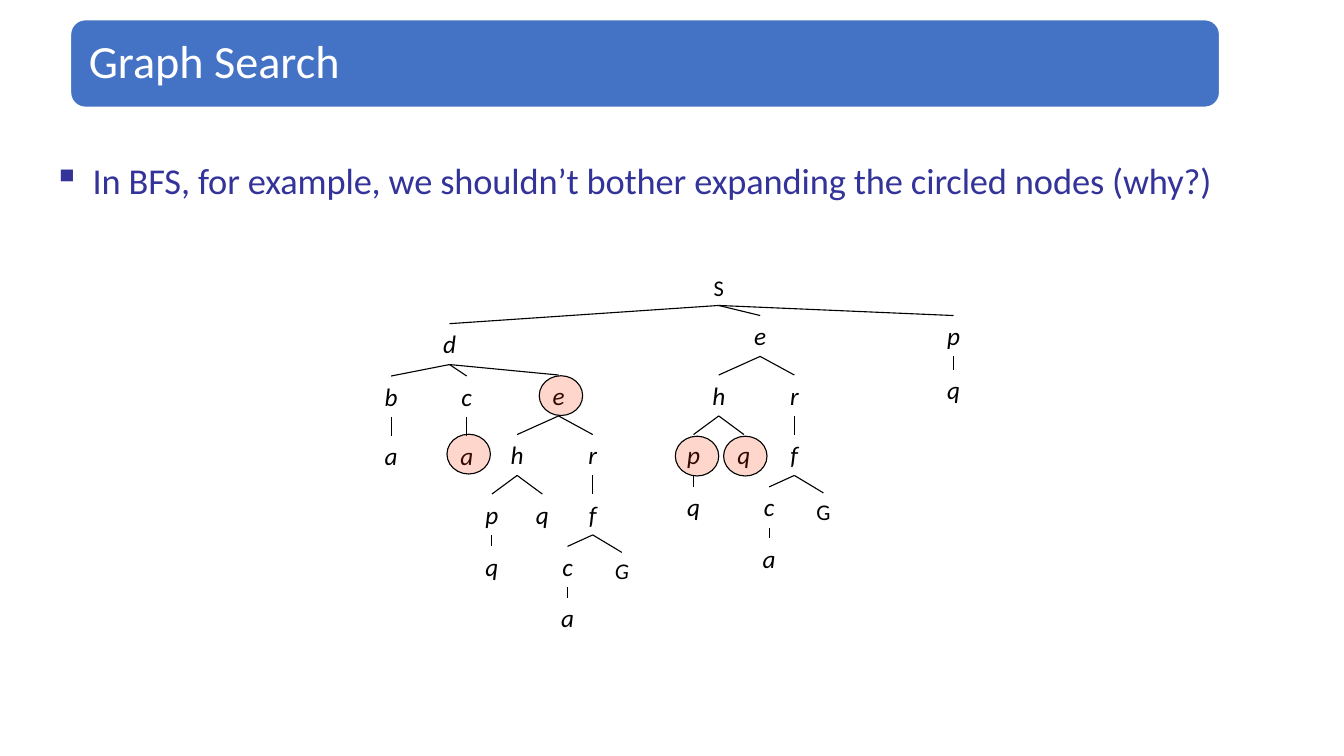
from dataclasses import dataclass

from pptx import Presentation
from pptx.dml.color import RGBColor
from pptx.enum.shapes import MSO_CONNECTOR, MSO_SHAPE
from pptx.enum.text import MSO_ANCHOR, PP_ALIGN
from pptx.oxml.xmlchemy import OxmlElement
from pptx.shapes.autoshape import Shape
from pptx.text.text import TextFrame
from pptx.util import Pt

WHITE = RGBColor(0xFF, 0xFF, 0xFF)
BLACK = RGBColor(0, 0, 0)
BANNER_BLUE = RGBColor(0x44, 0x72, 0xC4)
BODY_BLUE = RGBColor(0x33, 0x33, 0x99)
CIRCLE_RED = RGBColor(0xFF, 0x33, 0x00)

FONT = "Calibri"
LINE_WIDTH = 0.78
LABEL_WIDTH = 11.5
EDGE_GAP = 1.4  # from the end of an edge to the top of the child label
CIRCLE_WIDTH, CIRCLE_HEIGHT = 31, 28.4


@dataclass(frozen=True)
class Node:
    label: str
    x: float  # centre of the label
    top: float
    children: tuple["Node", ...] = ()
    size: float = 18
    italic: bool = True

    @property
    def bottom(self) -> float:
        return self.top + (27.8 if self.size == 18 else 24.5)


@dataclass(frozen=True)
class Circle:
    x: float
    y: float


def write(frame: TextFrame, text: str, *, size: float, color: RGBColor,
          italic: bool = False, align: PP_ALIGN = PP_ALIGN.LEFT,
          anchor: MSO_ANCHOR = MSO_ANCHOR.TOP, wrap: bool = True,
          left_inset: float = 0, top_inset: float = 0,
          bullet: str = "", hanging: float = 0, spacing: int = 0) -> None:
    """Fill a frame with one paragraph; spacing is in hundredths of a point."""
    frame.word_wrap = wrap
    frame.vertical_anchor = anchor
    frame.margin_left, frame.margin_top = Pt(left_inset), Pt(top_inset)
    frame.margin_right = frame.margin_bottom = 0
    para = frame.paragraphs[0]
    para.alignment = align
    if bullet:
        properties = para._p.get_or_add_pPr()
        properties.set("marL", str(Pt(hanging)))
        properties.set("indent", str(-Pt(hanging)))
        mark = OxmlElement("a:buChar")
        mark.set("char", bullet)
        properties.append(mark)
    span = para.add_run()
    span.text = text
    font = span.font
    font.name, font.size, font.italic = FONT, Pt(size), italic
    font.color.rgb = color
    if spacing:
        font._element.set("spc", str(spacing))


def draw_shape(page, kind: MSO_SHAPE, left: float, top: float, width: float,
               height: float, fill: RGBColor, line: RGBColor,
               line_width: float) -> Shape:
    shape = page.shapes.add_shape(kind, Pt(left), Pt(top), Pt(width), Pt(height))
    shape.shadow.inherit = False
    shape.fill.solid()
    shape.fill.fore_color.rgb = fill
    shape.line.color.rgb = line
    shape.line.width = Pt(line_width)
    return shape


def draw_edge(page, parent: Node, child: Node) -> None:
    edge = page.shapes.add_connector(
        MSO_CONNECTOR.STRAIGHT, Pt(parent.x), Pt(parent.bottom),
        Pt(child.x), Pt(child.top - EDGE_GAP))
    edge.line.color.rgb = BLACK
    edge.line.width = Pt(LINE_WIDTH)
    edge._element.spPr.append(OxmlElement("a:effectLst"))


def draw_tree(page, node: Node) -> None:
    box = page.shapes.add_textbox(
        Pt(node.x - LABEL_WIDTH / 2), Pt(node.top),
        Pt(LABEL_WIDTH), Pt(node.size * 1.22 + 2))
    write(box.text_frame, node.label, size=node.size, color=BLACK,
          italic=node.italic, align=PP_ALIGN.CENTER, wrap=False, top_inset=2)
    for child in node.children:
        draw_edge(page, node, child)
        draw_tree(page, child)


def draw_circle(page, circle: Circle) -> None:
    oval = draw_shape(page, MSO_SHAPE.OVAL, circle.x - CIRCLE_WIDTH / 2,
                      circle.y - CIRCLE_HEIGHT / 2, CIRCLE_WIDTH, CIRCLE_HEIGHT,
                      CIRCLE_RED, BLACK, LINE_WIDTH)
    alpha = OxmlElement("a:alpha")
    alpha.set("val", "20000")
    oval._element.spPr.find(".//{*}solidFill/{*}srgbClr").append(alpha)


def e_subtree(x: float, top: float, goal_italic: bool) -> Node:
    """The branch below e, which occurs twice in the search tree."""
    goal = Node("G", x + 45.2, top + 126.7, size=16, italic=goal_italic)
    c = Node("c", x + 6.4, top + 122.4, (Node("a", x + 6.4, top + 159.1),))
    f = Node("f", x + 24.4, top + 85, (c, goal))
    p = Node("p", x - 47.6, top + 85, (Node("q", x - 47.6, top + 122.4),))
    h = Node("h", x - 29.6, top + 42.5, (p, Node("q", x - 11.6, top + 85)))
    r = Node("r", x + 24.4, top + 42.5, (f,))
    return Node("e", x, top, (h, r))


SEARCH_TREE = Node("S", 513.4, 193.7, (
    Node("d", 321.1, 232.6, (
        Node("b", 279.4, 270, (Node("a", 279.4, 312.5),)),
        Node("c", 333.4, 270, (Node("a", 333.4, 312.5),)),
        e_subtree(399, 269.3, goal_italic=True),
    )),
    e_subtree(543, 226.8, goal_italic=False),
    Node("p", 681.1, 226.8, (Node("q", 681.1, 265.7),)),
), size=16, italic=False)

CIRCLES = (Circle(400.7, 282.6), Circle(334.8, 324.4),
           Circle(497.9, 325.8), Circle(532.4, 325.8))


def main() -> None:
    deck = Presentation()
    deck.slide_width, deck.slide_height = Pt(960), Pt(540)
    page = deck.slides.add_slide(deck.slide_layouts[6])

    # Title banner
    banner = draw_shape(page, MSO_SHAPE.ROUNDED_RECTANGLE, 50.4, 14.1, 820.8, 62.6,
                        BANNER_BLUE, WHITE, 1)
    write(banner.text_frame, "Graph Search", size=33, color=WHITE,
          anchor=MSO_ANCHOR.MIDDLE, left_inset=10)
    banner.text_frame.paragraphs[0].line_spacing = 0.9

    # Statement
    statement = page.shapes.add_textbox(Pt(38.2), Pt(110.9), Pt(842), Pt(33.1))
    write(statement.text_frame,
          "In BFS, for example, we shouldn’t bother expanding the circled nodes (why?)",
          size=26, color=BODY_BLUE, top_inset=1.9, bullet="▪", hanging=28,
          spacing=-10)

    # Search tree with the repeated nodes circled
    draw_tree(page, SEARCH_TREE)
    for circle in CIRCLES:
        draw_circle(page, circle)

    deck.save("out.pptx")


if __name__ == "__main__":
    main()
